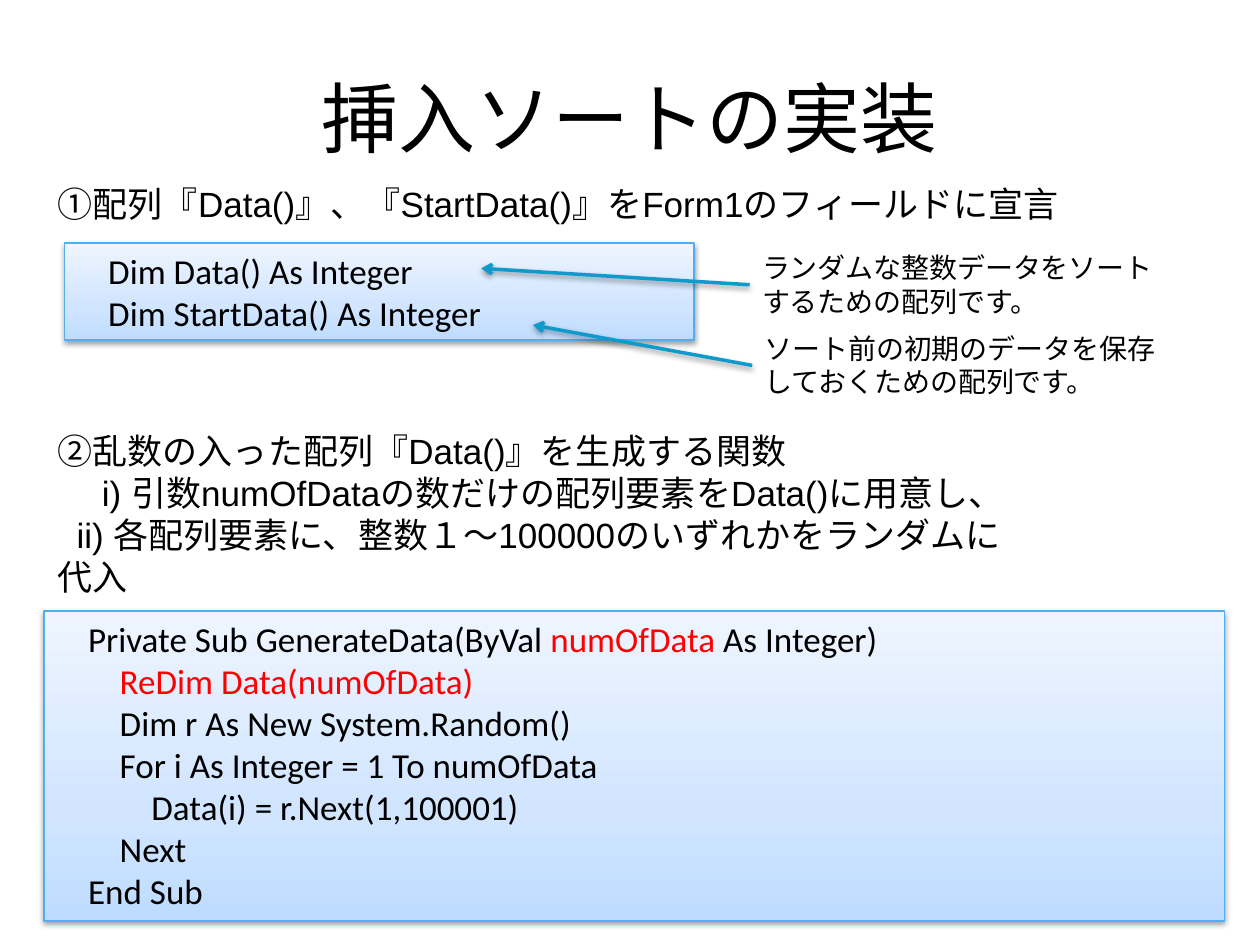
from copy import deepcopy

from lxml.etree import SubElement
from pptx import Presentation
from pptx.dml.color import RGBColor
from pptx.enum.shapes import MSO_CONNECTOR, MSO_SHAPE
from pptx.enum.text import MSO_ANCHOR, MSO_AUTO_SIZE, PP_ALIGN
from pptx.oxml.ns import qn
from pptx.util import Inches, Pt


def color(value):
    return RGBColor.from_string(value)


def add_text(p, text, font="Arial", size=20, fill="000000"):
    r = p.add_run()
    r.text = text
    r.font.name = font
    r.font.size = Pt(size)
    r.font.color.rgb = color(fill)


class SlideBuilder:
    BLACK, RED = "000000", "FF0000"
    EDGE, ARROW = "52ADF2", "0F9ACC"
    STOPS = [(0, "BEDCFF"), (0.35, "D1E5FF"), (1, "EEF5FF")]

    def __init__(self, prs):
        self.s = prs.slides.add_slide(prs.slide_layouts[5])

    def shadow(self, sp):
        effects = SubElement(sp.element.spPr, qn("a:effectLst"))
        outer = SubElement(effects, qn("a:outerShdw"), blurRad="40000",
                           dist="20000", dir="5400000", rotWithShape="0")
        rgb = SubElement(outer, qn("a:srgbClr"), val=self.BLACK)
        SubElement(rgb, qn("a:alpha"), val="38000")

    def frame(self, sp):
        tf = sp.text_frame
        tf.word_wrap = True
        tf.auto_size = MSO_AUTO_SIZE.SHAPE_TO_FIT_TEXT
        tf.vertical_anchor = MSO_ANCHOR.TOP
        return tf

    def paragraphs(self, tf, count):
        for _ in range(count - 1):
            tf.add_paragraph()
        for p in tf.paragraphs:
            p.alignment = PP_ALIGN.LEFT
        return tf.paragraphs

    def title(self, text, x, y, w, h):
        sp = self.s.shapes.title
        sp.left, sp.top, sp.width, sp.height = map(Inches, (x, y, w, h))
        tf = sp.text_frame
        tf.vertical_anchor = MSO_ANCHOR.MIDDLE
        p = tf.paragraphs[0]
        p.alignment = PP_ALIGN.CENTER
        add_text(p, text, font="Calibri", size=44)

    def text(self, lines, x, y, w, h, size=20):
        sp = self.s.shapes.add_textbox(*map(Inches, (x, y, w, h)))
        ps = self.paragraphs(self.frame(sp), len(lines))
        for p, (line, indent) in zip(ps, lines):
            if indent:
                pPr = p._p.get_or_add_pPr()
                pPr.set("marL", "0")
                pPr.set("indent", str(Inches(indent)))
            add_text(p, line, size=size)

    def code(self, lines, x, y, w, h):
        sp = self.s.shapes.add_shape(MSO_SHAPE.RECTANGLE,
                                     *map(Inches, (x, y, w, h)))
        sp.fill.gradient()
        sp.fill.gradient_angle = 90
        gs_lst = sp.element.spPr.find(qn("a:gradFill")).find(qn("a:gsLst"))
        gs_lst.append(deepcopy(gs_lst[-1]))
        for stop, (position, value) in zip(sp.fill.gradient_stops, self.STOPS):
            stop.position = position
            stop.color.rgb = color(value)
        sp.line.color.rgb = color(self.EDGE)
        sp.line.width = Pt(0.75)
        self.shadow(sp)
        ps = self.paragraphs(self.frame(sp), len(lines))
        for p, runs in zip(ps, lines):
            for text, fill in runs:
                add_text(p, text, font="Calibri", fill=fill)

    def arrow(self, x1, y1, x2, y2):
        sp = self.s.shapes.add_connector(MSO_CONNECTOR.STRAIGHT,
                                         *map(Inches, (x1, y1, x2, y2)))
        sp.line.color.rgb = color(self.ARROW)
        sp.line.width = Pt(2)
        SubElement(sp.line._get_or_add_ln(), qn("a:tailEnd"), type="arrow")
        self.shadow(sp)


def main():
    prs = Presentation()
    prs.slide_width, prs.slide_height = Inches(10), Inches(7.5)
    b = SlideBuilder(prs)
    black, red = b.BLACK, b.RED

    b.title("挿入ソートの実装", 0.5, 0.3, 9, 1.25)
    b.code([
        [("    Private Sub GenerateData(ByVal ", black),
         ("numOfData", red), (" As Integer)", black)],
        [("        ReDim Data(numOfData)", red)],
        [("        Dim r As New System.Random()", black)],
        [("        For i As Integer = 1 To numOfData", black)],
        [("            Data(i) = r.Next(1,100001)", black)],
        [("        Next", black)],
        [("    End Sub", black)],
    ], 0.35, 4.85, 9.37, 2.46)
    b.text([
        ("②乱数の入った配列『Data()』を生成する関数", 0),
        ("i) 引数numOfDataの数だけの配列要素をData()に用意し、", 0.35),
        ("ii) 各配列要素に、整数１～100000のいずれかをランダムに代入", 0.15),
    ], 0.36, 3.36, 7.92, 1.11)
    b.text([("①配列『Data()』、『StartData()』をForm1のフィールドに宣言", 0)],
           0.36, 1.4, 8.65, 0.44)
    b.code([
        [("    Dim Data() As Integer", black)],
        [("    Dim StartData() As Integer", black)],
    ], 0.51, 1.93, 5, 0.77)

    notes = [
        ("ランダムな整数データをソートするための配列です。", 5.95, 1.94, 3.82, 2.13),
        ("ソート前の初期のデータを保存しておくための配列です。", 5.97, 2.58, 4.23, 2.58),
    ]
    for note, x, y, _, _ in notes:
        b.text([(note, 0)], x, y, 3.46, 0.64, size=16)
    for _, x, y, tip_x, tip_y in notes:
        b.arrow(x, y + 0.32, tip_x, tip_y)

    prs.save("out.pptx")


if __name__ == "__main__":
    main()
